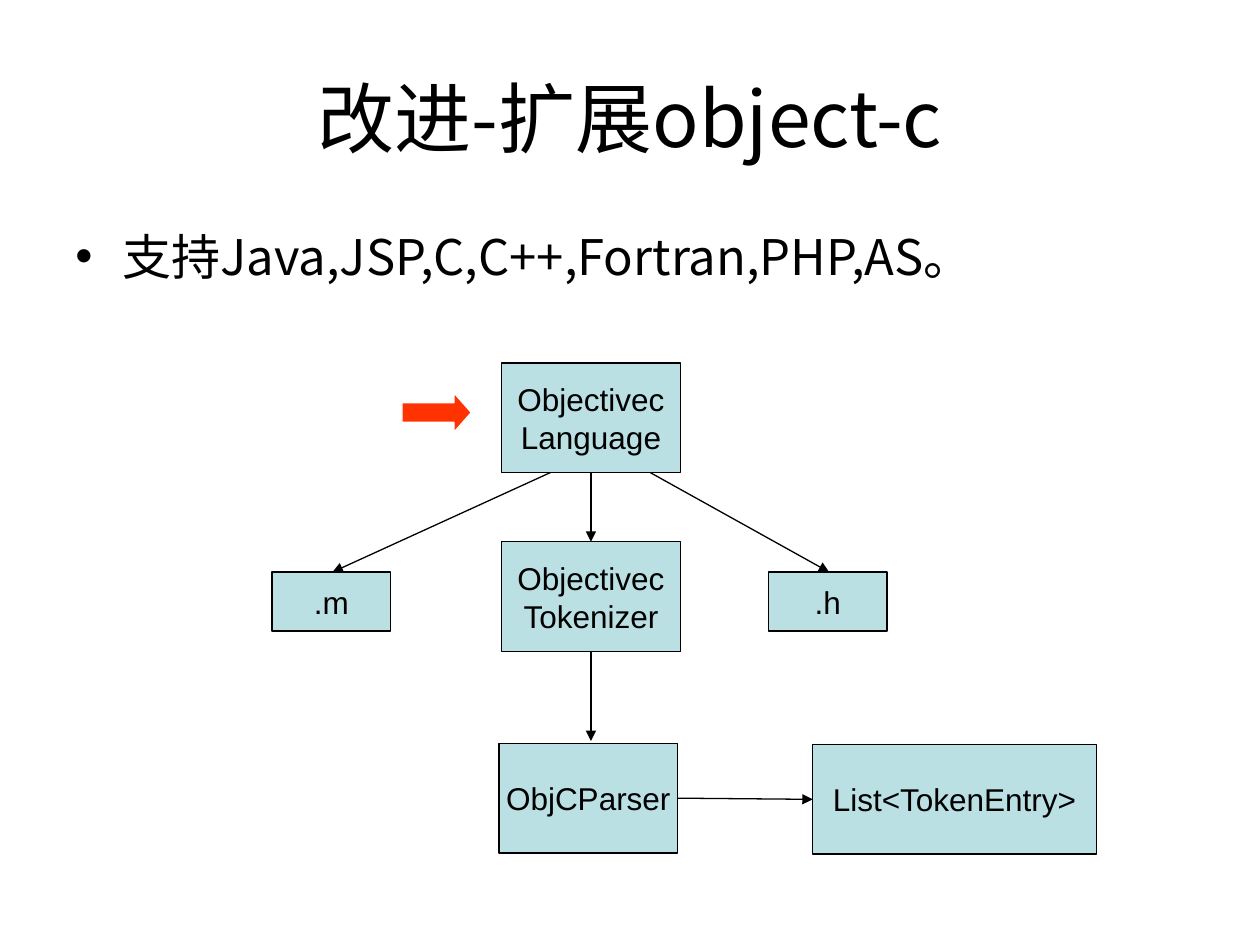
from pptx import Presentation
from pptx.dml.color import RGBColor
from pptx.enum.shapes import MSO_CONNECTOR, MSO_SHAPE
from pptx.enum.text import MSO_ANCHOR, PP_ALIGN
from pptx.oxml.ns import qn
from pptx.util import Pt
from lxml import etree

BLACK = RGBColor(0x00, 0x00, 0x00)
WHITE = RGBColor(0xFF, 0xFF, 0xFF)
PALE_TEAL = RGBColor(0xBB, 0xE0, 0xE3)
ORANGE_RED = RGBColor(0xFF, 0x33, 0x00)

PROCESS = MSO_SHAPE.FLOWCHART_PROCESS
RIGHT_ARROW = MSO_SHAPE.RIGHT_ARROW
STRAIGHT = MSO_CONNECTOR.STRAIGHT
MIDDLE = MSO_ANCHOR.MIDDLE
TOP = MSO_ANCHOR.TOP
CENTER = PP_ALIGN.CENTER
LEFT = PP_ALIGN.LEFT

CJK_FONT = "Noto Sans CJK SC"
LINE_WIDTH = 0.75
CLASS_SIZE = (102.2, 62.6)
FILE_SIZE = (67.7, 33.8)
LIST_SIZE = (162, 62.6)


def write_text(shape, text, *, size, font="Arial", align=CENTER,
               anchor=MIDDLE, wrap=True, bullet=False):
    frame = shape.text_frame
    frame.word_wrap = wrap
    frame.vertical_anchor = anchor
    frame.text = text
    for para in frame.paragraphs:
        para.alignment = align
        if bullet:
            add_bullet(para)
        for span in para.runs:
            span.font.size = Pt(size)
            span.font.name = font
            span.font.color.rgb = BLACK
            east_asian = etree.SubElement(span.font._element, qn("a:ea"))
            east_asian.set("typeface", font)


def add_bullet(para):
    properties = para._p.get_or_add_pPr()
    properties.set("marL", str(Pt(27)))
    properties.set("indent", str(Pt(-27)))
    font = etree.SubElement(properties, qn("a:buFont"))
    font.set("typeface", "Arial")
    etree.SubElement(properties, qn("a:buChar")).set("char", "•")


def place(shape, left, top, width, height):
    shape.left, shape.top = Pt(left), Pt(top)
    shape.width, shape.height = Pt(width), Pt(height)


def add_filled_shape(page, kind, left, top, size, fill, line):
    shape = page.shapes.add_shape(kind, Pt(left), Pt(top),
                                  Pt(size[0]), Pt(size[1]))
    shape.shadow.inherit = False
    shape.fill.solid()
    shape.fill.fore_color.rgb = fill
    shape.line.color.rgb = line
    shape.line.width = Pt(LINE_WIDTH)
    return shape


def add_box(page, text, left, top, size):
    box = add_filled_shape(page, PROCESS, left, top, size, PALE_TEAL, BLACK)
    write_text(box, text, size=18, wrap=False)


def add_arrow(page, start, end):
    arrow = page.shapes.add_connector(STRAIGHT, Pt(start[0]), Pt(start[1]),
                                      Pt(end[0]), Pt(end[1]))
    arrow.line.color.rgb = BLACK
    arrow.line.width = Pt(LINE_WIDTH)
    head = etree.SubElement(arrow.line._get_or_add_ln(), qn("a:tailEnd"))
    head.set("type", "triangle")
    etree.SubElement(arrow._element.spPr, qn("a:effectLst"))


def add_class_diagram(page):
    for text, left, top, size in (
        ("Objectivec\nLanguage", 286.6, 207.4, CLASS_SIZE),
        ("Objectivec\nTokenizer", 286.6, 309.6, CLASS_SIZE),
        (".h", 439.2, 326.9, FILE_SIZE),
        (".m", 155.5, 326.9, FILE_SIZE),
        ("ObjCParser", 285.1, 424.8, CLASS_SIZE),
        ("List<TokenEntry>", 464.4, 425.5, LIST_SIZE),
    ):
        add_box(page, text, left, top, size)

    for start, end in (
        ((337.7, 270), (337.7, 309.6)),
        ((314.6, 270), (190, 326.9)),
        ((371.5, 270), (473.8, 326.9)),
        ((337.7, 372.2), (337.7, 423.4)),
        ((387.3, 456.1), (464.4, 456.8)),
    ):
        add_arrow(page, start, end)


def main():
    deck = Presentation()
    deck.slide_width, deck.slide_height = Pt(720), Pt(540)
    title_only = deck.slide_layouts.get_by_name("Title Only")
    page = deck.slides.add_slide(title_only)

    title = page.shapes.title
    place(title, 36, 21.6, 648, 90)
    write_text(title, "改进-扩展object-c", size=44, font=CJK_FONT)

    support = page.shapes.add_textbox(Pt(36), Pt(126), Pt(648), Pt(64.8))
    write_text(support, "支持Java,JSP,C,C++,Fortran,PHP,AS。", size=28,
               font=CJK_FONT, align=LEFT, anchor=TOP, bullet=True)

    add_class_diagram(page)
    pointer = add_filled_shape(page, RIGHT_ARROW, 229.7, 224.6, (39.6, 22.3),
                               ORANGE_RED, WHITE)
    pointer.adjustments[1] = 0.44

    deck.save("out.pptx")


if __name__ == "__main__":
    main()
